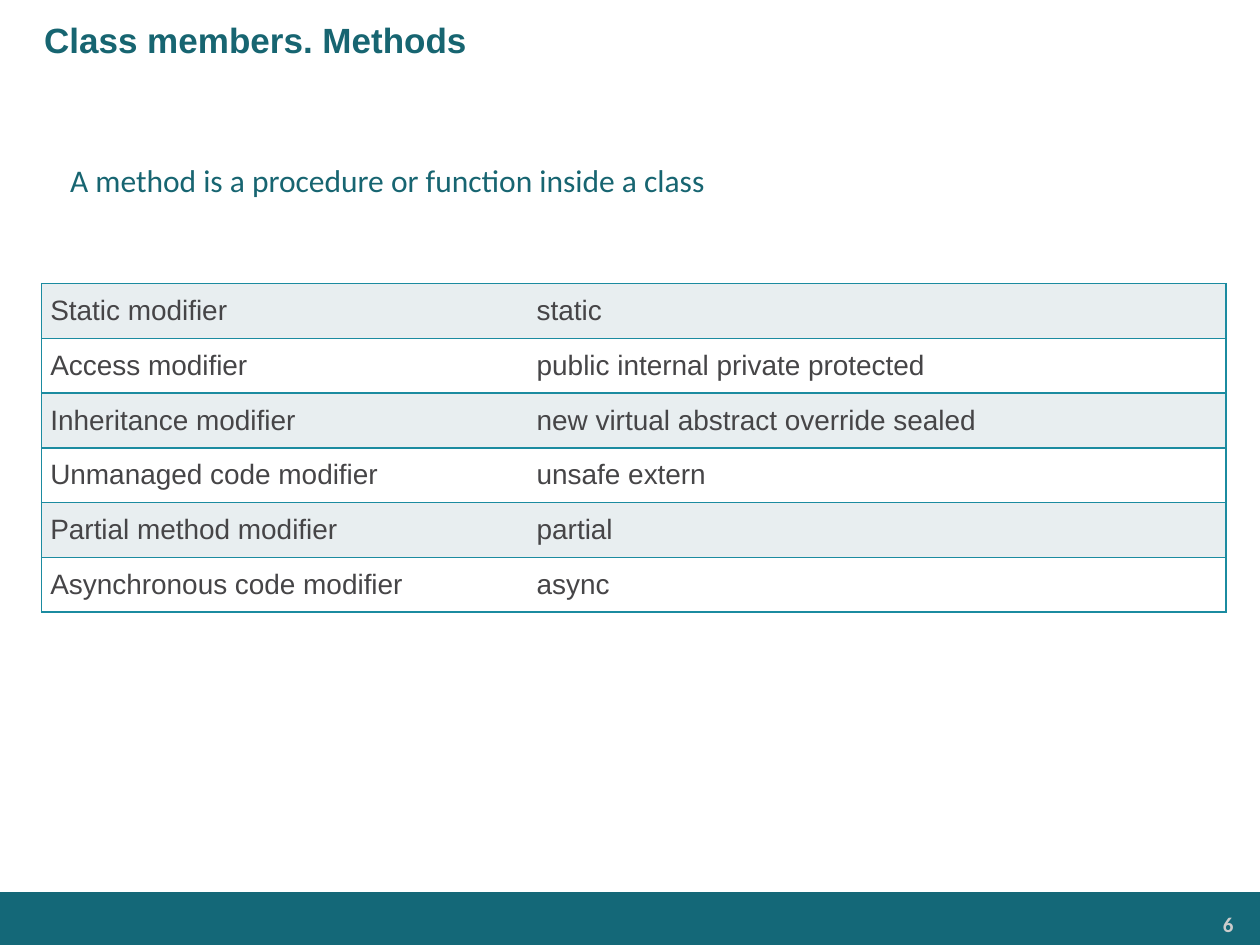
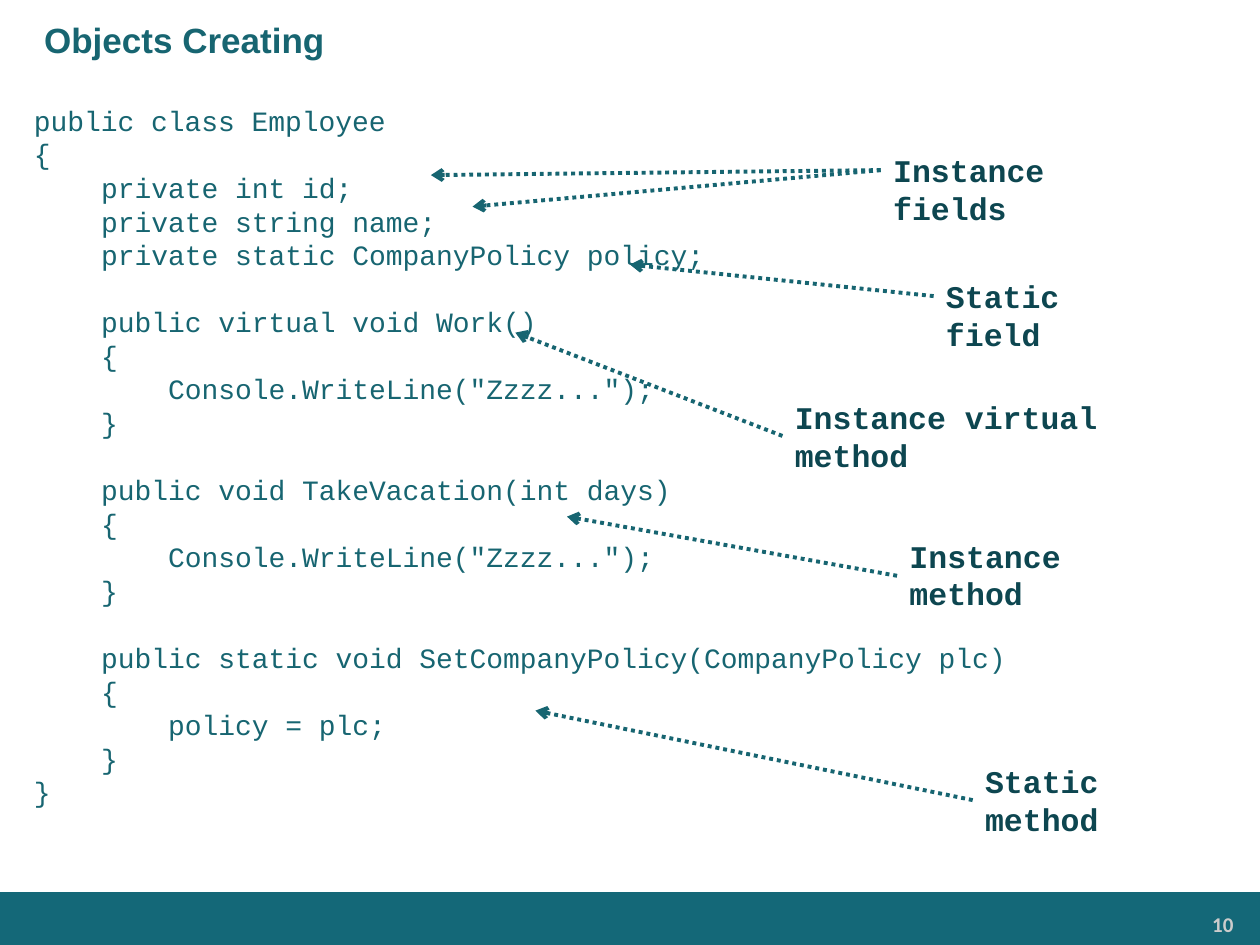
"""Build two slides on class methods and object creation."""
from lxml import etree
from pptx import Presentation
from pptx import util as u
from pptx.dml.color import RGBColor
from pptx.enum import dml, shapes, text
from pptx.oxml import ns

THEME = {
    "band": "146878", "border": "1B8BA0", "arrow": "176571",
    "stripes": ("E8EEF0", "FFFFFF"),
    "title": {"name": "Arial", "size": 20, "bold": True, "color": "176571"},
    "number": {"name": "Calibri", "size": 12, "bold": True, "color": "CCCCCC"},
    "intro": {"name": "Calibri", "size": 18, "bold": False, "color": "176571"},
    "cell": {"name": "Arial", "size": 16, "bold": False, "color": "464547"},
    "code": {"name": "Courier New", "size": 16, "bold": False, "color": "176571", "pitch": 1.2},
    "label": {"name": "Courier New", "size": 18, "bold": True, "color": "0D4650", "pitch": 1.2},
}
MIDDLE = text.MSO_ANCHOR.MIDDLE
LEFT, RIGHT = text.PP_ALIGN.LEFT, text.PP_ALIGN.RIGHT

TITLES = {6: "Class members. Methods", 10: "Objects Creating"}
MODIFIERS = [
    ("Static modifier", "static"),
    ("Access modifier", "public internal private protected"),
    ("Inheritance modifier", "new virtual abstract override sealed"),
    ("Unmanaged code modifier", "unsafe extern"),
    ("Partial method modifier", "partial"),
    ("Asynchronous code modifier", "async"),
]
CODE = """public class Employee
{
    private int id;
    private string name;
    private static CompanyPolicy policy;

    public virtual void Work()
    {
        Console.WriteLine("Zzzz...");
    }

    public void TakeVacation(int days)
    {
        Console.WriteLine("Zzzz...");
    }

    public static void SetCompanyPolicy(CompanyPolicy plc)
    {
        policy = plc;
    }
}"""
LABELS = [
    ("Instance fields", (699, 115, 228, 40), 135, [(342, 139), (375, 164)]),
    ("Static field", (741, 215, 186, 40), 235, [(500, 210)]),
    ("Instance virtual method", (621, 311, 318, 71), 346, [(409, 264)]),
    ("Instance method", (712, 421, 227, 71), 457, [(450, 410)]),
    ("Static method", (772, 600, 190, 71), 635, [(425, 564)]),
]


def px(*values):
    return [u.Emu(v * 9144) for v in values]


def write(tf, content, style, align=LEFT, margins=(10, 5, 10, 5), **frame):
    sides = ("margin_left", "margin_top", "margin_right", "margin_bottom")
    values = {"word_wrap": True, "auto_size": text.MSO_AUTO_SIZE.NONE,
              "vertical_anchor": text.MSO_ANCHOR.TOP, **dict(zip(sides, px(*margins))), **frame}
    for key, value in values.items():
        setattr(tf, key, value)
    p, gap = tf.paragraphs[0], 0
    for line in content.splitlines():
        if not line:
            gap += 1
            continue
        if p.runs:
            p = tf.add_paragraph()
        p.alignment = align
        r = p.add_run()
        r.text = line.lstrip()
        for key in ("name", "bold"):
            setattr(r.font, key, style[key])
        r.font.size = u.Pt(style["size"])
        r.font.color.rgb = RGBColor.from_string(style["color"])
        indent = len(line) - len(r.text)
        if indent:
            p._p.get_or_add_pPr().set("marL", str(u.Pt(indent * style["size"] * 0.6)))
        if "pitch" in style:
            pitch = u.Pt(style["size"] * style["pitch"])
            p.line_spacing, p.space_before = pitch, u.Emu(gap * pitch)
        gap = 0


prs = Presentation()
prs.slide_width, prs.slide_height = px(1000, 750)
slides = []
for number, title in TITLES.items():
    s = prs.slides.add_slide(prs.slide_layouts[5])
    sp = s.shapes.title
    sp.left, sp.top, sp.width, sp.height = px(0, 0, 1000, 63)
    write(sp.text_frame, title, THEME["title"], margins=(35, 5, 10, 5), vertical_anchor=MIDDLE)
    sp = s.shapes.add_shape(shapes.MSO_SHAPE.RECTANGLE, *px(0, 708, 1001, 43))
    sp.shadow.inherit = False
    sp.fill.solid()
    sp.fill.fore_color.rgb = RGBColor.from_string(THEME["band"])
    sp.line.fill.background()
    sp = s.shapes.add_textbox(*px(823, 719, 163, 28))
    write(sp.text_frame, str(number), THEME["number"], RIGHT, (7, 4, 7, 4))
    slides.append(s)
methods, objects = slides

for s, kind, box, content, style, margins, anchor in [
    (methods, shapes.MSO_SHAPE.ROUNDED_RECTANGLE, (27, 105, 952, 75),
     "A method is a procedure or function inside a class", "intro", (25, 6, 13, 6), MIDDLE),
    (objects, shapes.MSO_SHAPE.FLOWCHART_DOCUMENT, (17, 61, 945, 645),
     CODE, "code", (10, 21, 10, 5), text.MSO_ANCHOR.TOP),
]:
    sp = s.shapes.add_shape(kind, *px(*box))
    sp.shadow.inherit = False
    sp.fill.background()
    sp.line.fill.background()
    write(sp.text_frame, content, THEME[style], margins=margins, vertical_anchor=anchor)

table = methods.shapes.add_table(len(MODIFIERS), 2, *px(33, 225, 940, 261)).table
table.first_row = table.horz_banding = False
for column, width in zip(table.columns, px(386, 554)):
    column.width = width
for i, row in enumerate(MODIFIERS):
    for j, content in enumerate(row):
        cell = table.cell(i, j)
        write(cell.text_frame, content, THEME["cell"])
        cell.vertical_anchor = MIDDLE
        cell.margin_left, cell.margin_top, cell.margin_right, cell.margin_bottom = px(7, 5, 7, 5)
        tcPr = cell._tc.get_or_add_tcPr()
        for side in "LRTB":
            ln = etree.SubElement(tcPr, ns.qn(f"a:ln{side}"), w=str(u.Pt(1)))
            if side == "RL"[j]:
                etree.SubElement(ln, ns.qn("a:noFill"))
            else:
                fill = etree.SubElement(ln, ns.qn("a:solidFill"))
                etree.SubElement(fill, ns.qn("a:srgbClr"), val=THEME["border"])
        cell.fill.solid()
        cell.fill.fore_color.rgb = RGBColor.from_string(THEME["stripes"][i % 2])

for content, box, y, targets in LABELS:
    sp = objects.shapes.add_textbox(*px(*box))
    write(sp.text_frame, content, THEME["label"])
    for target in targets:
        arrow = objects.shapes.add_connector(shapes.MSO_CONNECTOR.STRAIGHT, *px(box[0], y, *target))
        arrow.line.color.rgb = RGBColor.from_string(THEME["arrow"])
        for key, value in {"width": u.Pt(2.25), "dash_style": dml.MSO_LINE.ROUND_DOT}.items():
            setattr(arrow.line, key, value)
        spPr = arrow._element.spPr
        etree.SubElement(spPr.find(ns.qn("a:ln")), ns.qn("a:tailEnd"), type="arrow")
        etree.SubElement(spPr, ns.qn("a:effectLst"))

prs.save("out.pptx")
